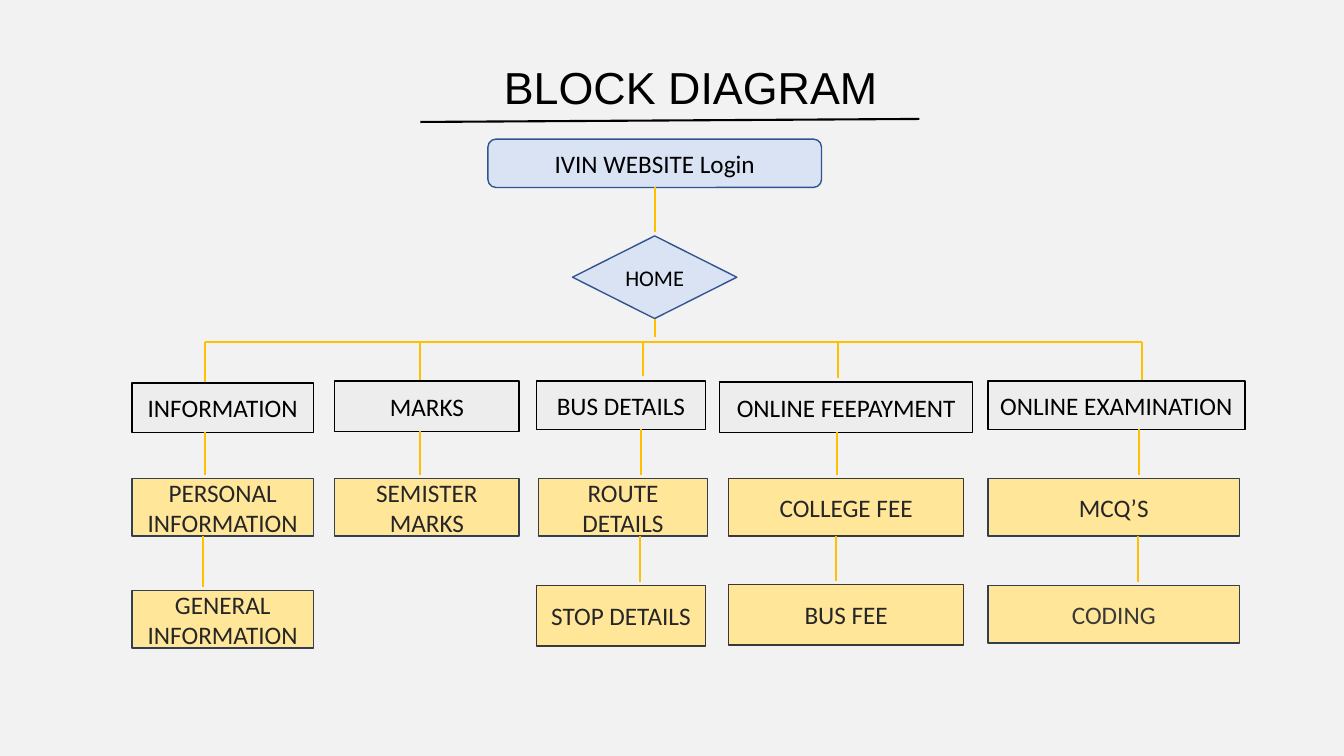
import dataclasses

import pptx
import pptx.dml.color
import pptx.enum.shapes
import pptx.enum.text
import pptx.oxml
import pptx.oxml.ns
import pptx.shapes.autoshape
import pptx.slide
import pptx.text.text
import pptx.util

RGBColor = pptx.dml.color.RGBColor
Shape = pptx.enum.shapes.MSO_SHAPE

PAPER = RGBColor(0xF2, 0xF2, 0xF2)
BLACK = RGBColor(0x00, 0x00, 0x00)
PALE_BLUE = RGBColor(0xDA, 0xE3, 0xF3)
BLUE = RGBColor(0x32, 0x54, 0x91)
PALE_GREY = RGBColor(0xED, 0xED, 0xED)
PALE_GOLD = RGBColor(0xFF, 0xE6, 0x99)
GOLD = RGBColor(0xFF, 0xC0, 0x00)
SLATE = RGBColor(0x33, 0x3F, 0x50)
BROWN = RGBColor(0x3B, 0x38, 0x38)
INK = RGBColor(0x26, 0x26, 0x26)

# The page is a grid of square cells, ten to the inch.
CELL = pptx.util.Inches(0.1)
PAGE_COLUMNS, PAGE_ROWS = 133.33, 75

BUS_ROW = 33.95
LEAF_ROW = 47.5
LEAF_HEIGHT = 5.7
STEM_GAP = 0.35


@dataclasses.dataclass(frozen=True)
class Block:
    text: str
    column: float
    row: float
    width: float
    height: float
    fill: RGBColor = PALE_GOLD
    outline: RGBColor = SLATE
    ink: RGBColor = INK
    size: int = 18
    preset: Shape = Shape.RECTANGLE

    @property
    def bottom(self) -> float:
        return self.row + self.height


@dataclasses.dataclass(frozen=True)
class Branch:
    """A heading, its leaves, and the columns and lower end of their links."""
    heading: Block
    leaves: tuple[Block, ...]
    stems: tuple[float, ...]
    drop_end: float


def heading(text: str, column: float, row: float, width: float, height: float) -> Block:
    return Block(text, column, row, width, height, PALE_GREY, BLACK, BLACK)


def first_leaf(text: str, column: float, width: float, outline: RGBColor = SLATE) -> Block:
    return Block(text, column, LEAF_ROW, width, LEAF_HEIGHT, outline=outline)


LOGIN = Block("IVIN WEBSITE Login", 48.4, 13.8, 33.1, 4.8,
              PALE_BLUE, BLUE, BLACK, preset=Shape.ROUNDED_RECTANGLE)
HOME = Block("HOME", 56.8, 23.4, 16.3, 8.2,
             PALE_BLUE, BLUE, BLACK, size=16, preset=Shape.DIAMOND)
TRUNK_COLUMN = 65

BRANCHES = (
    Branch(heading("INFORMATION", 13.1, 38, 18, 4.9),
           (first_leaf("PERSONAL INFORMATION", 13.1, 18),
            Block("GENERAL INFORMATION", 13.1, 58.6, 18, LEAF_HEIGHT)),
           (20.3, 20.3, 20.1), 38),
    Branch(heading("MARKS", 33.2, 37.8, 18.3, 5),
           (first_leaf("SEMISTER MARKS", 33.2, 18.3),),
           (41.7, 41.7), 38),
    Branch(heading("BUS DETAILS", 53.2, 37.8, 16.8, 4.8),
           (first_leaf("ROUTE DETAILS", 53.4, 16.8),
            Block("STOP DETAILS", 53.2, 58.1, 16.8, 6, outline=BROWN)),
           (63.8, 63.6, 63.5), 37.3),
    Branch(heading("ONLINE FEEPAYMENT", 71.4, 37.9, 25.1, 5),
           (first_leaf("COLLEGE FEE", 72.3, 23.3, BROWN),
            Block("BUS FEE", 72.3, 58, 23.3, 6, outline=BROWN)),
           (83.1, 83, 82.95), 37.5),
    Branch(heading("ONLINE EXAMINATION", 98, 37.8, 25.5, 4.8),
           (first_leaf("MCQ’S", 98, 25),
            Block("CODING", 98, 58.1, 25, LEAF_HEIGHT, ink=BROWN)),
           (113.25, 113, 112.9), 38.2),
)


def cells(count: float) -> int:
    return round(count * CELL)


def write(frame: pptx.text.text.TextFrame, text: str, *, font: str, size: int,
          ink: RGBColor, centred: bool = True) -> None:
    para = frame.paragraphs[0]
    alignment = pptx.enum.text.PP_ALIGN
    para.alignment = alignment.CENTER if centred else alignment.LEFT
    span = para.add_run()
    span.text = text
    span.font.name = font
    span.font.size = pptx.util.Pt(size)
    span.font.color.rgb = ink


def draw_title(page: pptx.slide.Slide) -> None:
    box = page.shapes.add_textbox(cells(49), cells(5.4), cells(43.2), cells(6.4))
    box.text_frame.word_wrap = True
    write(box.text_frame, "BLOCK DIAGRAM", font="Arial", size=32, ink=BLACK, centred=False)
    draw_line(page, (41.7, 12.1), (91.2, 11.8), BLACK)


def draw_block(page: pptx.slide.Slide, block: Block) -> None:
    box = page.shapes.add_shape(block.preset, cells(block.column), cells(block.row),
                                cells(block.width), cells(block.height))
    box.shadow.inherit = False
    box.fill.solid()
    box.fill.fore_color.rgb = block.fill
    box.line.color.rgb = block.outline
    box.line.width = pptx.util.Pt(1)
    box.text_frame.word_wrap = True
    box.text_frame.vertical_anchor = pptx.enum.text.MSO_ANCHOR.MIDDLE
    write(box.text_frame, block.text, font="Calibri", size=block.size, ink=block.ink)


def draw_line(page: pptx.slide.Slide, start: tuple[float, float],
              end: tuple[float, float], color: RGBColor = GOLD) -> None:
    line = page.shapes.add_connector(pptx.enum.shapes.MSO_CONNECTOR.STRAIGHT,
                                     *map(cells, start + end))
    line.line.color.rgb = color
    line.line.width = pptx.util.Pt(1.5)
    properties = line._element.spPr
    properties.append(properties.makeelement(pptx.oxml.ns.qn("a:effectLst"), {}))


def draw_stem(page: pptx.slide.Slide, column: float, top: float, bottom: float) -> None:
    draw_line(page, (column, top), (column, bottom))


def draw_branch(page: pptx.slide.Slide, branch: Branch) -> None:
    draw_stem(page, branch.stems[0], BUS_ROW, branch.drop_end)
    draw_block(page, branch.heading)
    upper = branch.heading
    for leaf, column in zip(branch.leaves, branch.stems[1:]):
        draw_block(page, leaf)
        draw_stem(page, column, upper.bottom, leaf.row - STEM_GAP)
        upper = leaf


def main() -> None:
    deck = pptx.Presentation()
    deck.slide_width = cells(PAGE_COLUMNS)
    deck.slide_height = cells(PAGE_ROWS)
    page = deck.slides.add_slide(deck.slide_layouts[6])
    page.background.fill.solid()
    page.background.fill.fore_color.rgb = PAPER

    draw_title(page)
    draw_block(page, LOGIN)
    draw_stem(page, TRUNK_COLUMN, LOGIN.bottom, HOME.row - STEM_GAP)
    draw_block(page, HOME)
    draw_stem(page, TRUNK_COLUMN, HOME.bottom, 33.4)
    draw_line(page, (BRANCHES[0].stems[0], BUS_ROW), (BRANCHES[-1].stems[0], BUS_ROW))
    for branch in BRANCHES:
        draw_branch(page, branch)

    deck.save("out.pptx")


if __name__ == "__main__":
    main()
